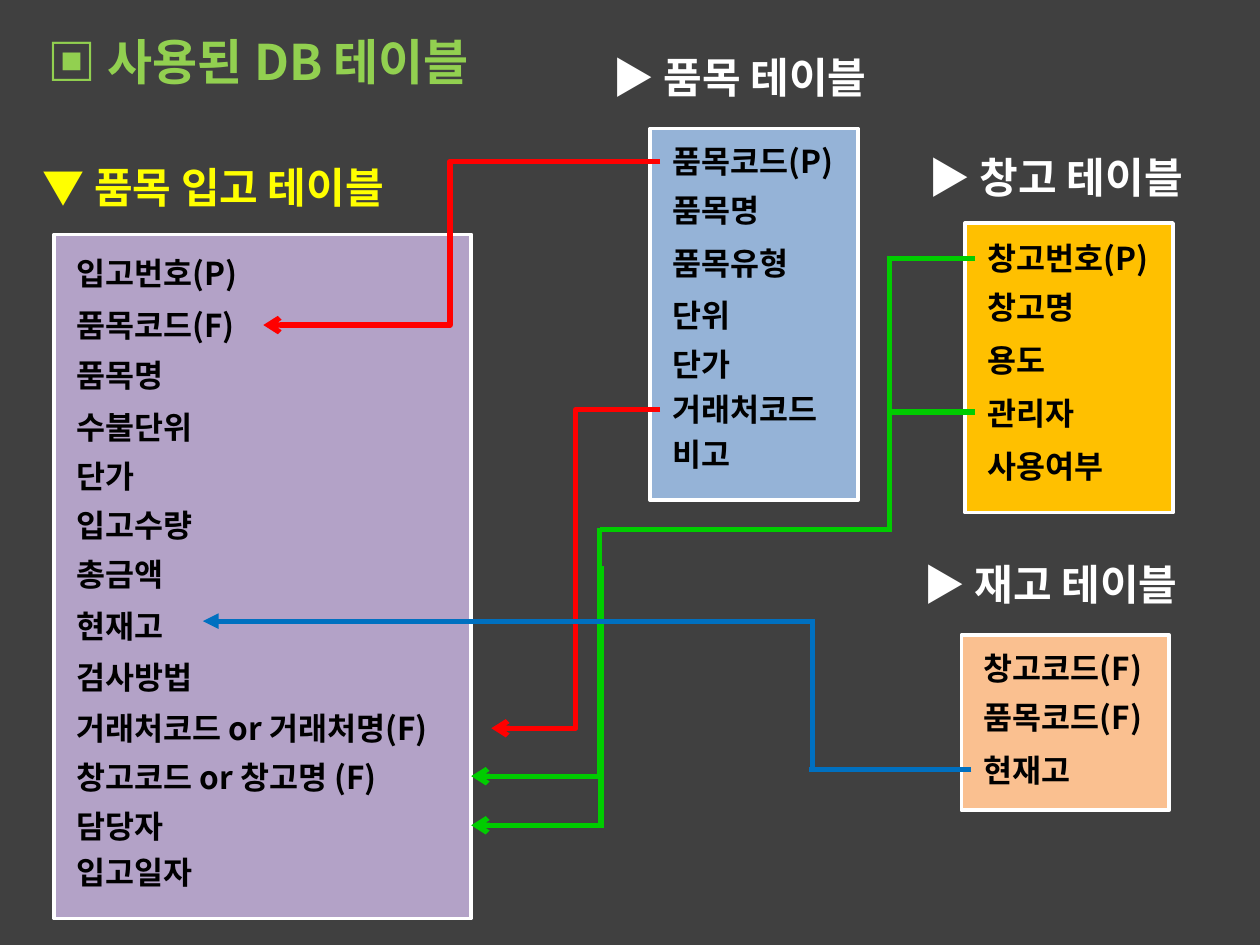
from lxml import etree
from pptx import Presentation
from pptx.dml.color import RGBColor
from pptx.enum.shapes import MSO_CONNECTOR as Link, MSO_SHAPE as Preset
from pptx.enum.text import MSO_ANCHOR as Anchor, MSO_AUTO_SIZE as AutoSize, PP_ALIGN as Align
from pptx.oxml.ns import qn
from pptx.util import Inches, Pt

FONT = "Noto Sans CJK KR"
COLUMNS, ROWS = 100, 75
CELL = Inches(10) // COLUMNS
FIELD_WIDTH, FIELD_HEIGHT, HEADING_HEIGHT = 15.7, 4, 5
BLACK, WHITE = "000000", "FFFFFF"
RED, GREEN, BLUE = "FF0000", "00CC00", "0070C0"

# Each table: heading (text, place, colour), panel (place, fill),
# left edge of the fields, and fields as (text, top row, optional width).
TABLES = [
    (("▼ 품목 입고 테이블", (2.4, 12.3, 33.5), "FFFF00"),
     ((4.3, 18.6, 33.1, 54.3), "B3A2C7"), 5.1,
     [("입고번호(P)", 19.7), ("품목코드(F)", 23.8), ("품목명", 27.8),
      ("수불단위", 31.9), ("단가", 35.8), ("입고수량", 39.7),
      ("총금액", 43.6), ("현재고", 47.7), ("검사방법", 51.7),
      ("거래처코드 or 거래처명(F)", 55.8, 33.8),
      ("창고코드 or 창고명 (F)", 59.7, 30.7),
      ("담당자", 63.6), ("입고일자", 67.2)]),
    (("▶ 품목 테이블", (47.6, 3.6, 26), WHITE),
     ((51.6, 10.2, 16.5, 29.5), "95B3D7"), 52.4,
     [("품목코드(P)", 10.8), ("품목명", 14.7, 11.8), ("품목유형", 18.9),
      ("단위", 23, 7.9), ("단가", 26.9, 7.9),
      ("거래처코드", 30.5, 18.1), ("비고", 34, 7.1)]),
    (("▶ 재고 테이블", (72.3, 43.8, 26), WHITE),
     ((76.3, 50.4, 16.5, 13.9), "FAC090"), 77.1,
     [("창고코드(F)", 51), ("품목코드(F)", 54.9), ("현재고", 59.1)]),
    (("▶ 창고 테이블", (72.7, 11.5, 26), WHITE),
     ((76.6, 17.7, 16.5, 23), "FFC000"), 77.4,
     [("창고번호(P)", 18.5), ("창고명", 22.4, 13.4), ("용도", 26.6, 7.9),
      ("관리자", 30.8), ("사용여부", 35)]),
]

# Elbow links: start, end, share of the width where the link turns.
ITEM_LINKS = [((52.4, 12.8), (20.9, 25.8), 0.53),
              ((52.4, 32.5), (39, 57.8), 0.5)]

# Straight links: start, end, colour, arrowhead.
STRAIGHT_LINKS = [
    ((77.4, 20.5), (70.5, 20.5), GREEN, None),
    ((70.6, 42.1), (70.6, 20.3), GREEN, None),
    ((70.8, 42), (47.6, 42), GREEN, None),
    ((47.6, 61.7), (47.6, 41.9), GREEN, None),
    ((47.9, 61.6), (37.4, 61.6), GREEN, "arrow"),
    ((77.4, 32.7), (70.5, 32.7), GREEN, None),
    ((47.7, 65.5), (47.7, 44.9), GREEN, None),
    ((47.9, 65.5), (37.4, 65.5), GREEN, "arrow"),
    ((77.1, 61.1), (64.2, 61.1), BLUE, None),
    ((64.7, 49.3), (16.1, 49.3), BLUE, "triangle"),
    ((64.5, 61.1), (64.5, 49.3), BLUE, None),
]


def cells(*counts):
    """Turn counts of grid cells into lengths."""
    return [round(count * CELL) for count in counts]


def colour(hex_code):
    """Turn a hex string into a colour."""
    return RGBColor.from_string(hex_code)


def write(holder, text, size=18, ink=BLACK, bold=True):
    """Put one formatted, left-aligned line into a shape."""
    frame = holder.text_frame
    frame.word_wrap = True
    frame.auto_size = AutoSize.SHAPE_TO_FIT_TEXT
    frame.vertical_anchor = Anchor.TOP
    line = frame.paragraphs[0]
    line.alignment = Align.LEFT
    run = line.add_run()
    run.text = text
    run.font.size, run.font.bold, run.font.name = Pt(size), bold, FONT
    run.font.color.rgb = colour(ink)
    east_asian = etree.SubElement(run.font._element, qn("a:ea"))
    east_asian.set("typeface", FONT)


def add_label(slide, text, place, **style):
    """Add a text box at a place on the grid."""
    write(slide.shapes.add_textbox(*cells(*place)), text, **style)


def add_panel(slide, place, fill, outline=None):
    """Add a filled rectangle, with an outline if a colour is given."""
    panel = slide.shapes.add_shape(Preset.RECTANGLE, *cells(*place))
    panel.shadow.inherit = False
    panel.fill.solid()
    panel.fill.fore_color.rgb = colour(fill)
    if outline:
        panel.line.color.rgb = colour(outline)
        panel.line.width = Pt(2)
    else:
        panel.line.fill.background()
    return panel


def add_link(slide, start, end, ink, head=None, turn=None):
    """Add a straight link, or an elbow one when a turn is given."""
    kind = Link.STRAIGHT if turn is None else Link.ELBOW
    link = slide.shapes.add_connector(kind, *cells(*start, *end))
    link.line.color.rgb = colour(ink)
    link.line.width = Pt(3)
    properties = link._element.spPr
    if head:
        etree.SubElement(link.line._get_or_add_ln(), qn("a:tailEnd")).set("type", head)
    etree.SubElement(properties, qn("a:effectLst"))
    if turn is not None:
        guides = properties.find(qn("a:prstGeom")).find(qn("a:avLst"))
        guide = etree.SubElement(guides, qn("a:gd"))
        guide.set("name", "adj1")
        guide.set("fmla", f"val {round(turn * 100000)}")


def add_db_table(slide, heading, panel, left, fields):
    """Add a heading, its panel and the fields on it."""
    caption, place, ink = heading
    add_label(slide, caption, (*place, HEADING_HEIGHT), size=24, ink=ink)
    add_panel(slide, *panel, outline=WHITE)
    for field, top, *width in fields:
        place = (left, top, width[0] if width else FIELD_WIDTH, FIELD_HEIGHT)
        add_label(slide, field, place)


def add_title(slide, text):
    """Place and format the slide title."""
    title = slide.shapes.title
    title.left, title.top, title.width, title.height = cells(2.8, 2, 82.3, 5.7)
    write(title, text, size=28, ink="92D050")


def main():
    """Build the slide and save it."""
    deck = Presentation()
    deck.slide_width, deck.slide_height = cells(COLUMNS, ROWS)
    slide = deck.slides.add_slide(deck.slide_layouts[5])
    backdrop = add_panel(slide, (0, 0, COLUMNS, ROWS), "404040")
    slide.shapes.title._element.addprevious(backdrop._element)
    add_title(slide, "▣ 사용된 DB 테이블")
    for table in TABLES:
        add_db_table(slide, *table)
    for start, end, turn in ITEM_LINKS:
        add_link(slide, start, end, RED, head="arrow", turn=turn)
    for link in STRAIGHT_LINKS:
        add_link(slide, *link)
    deck.save("out.pptx")


main()
